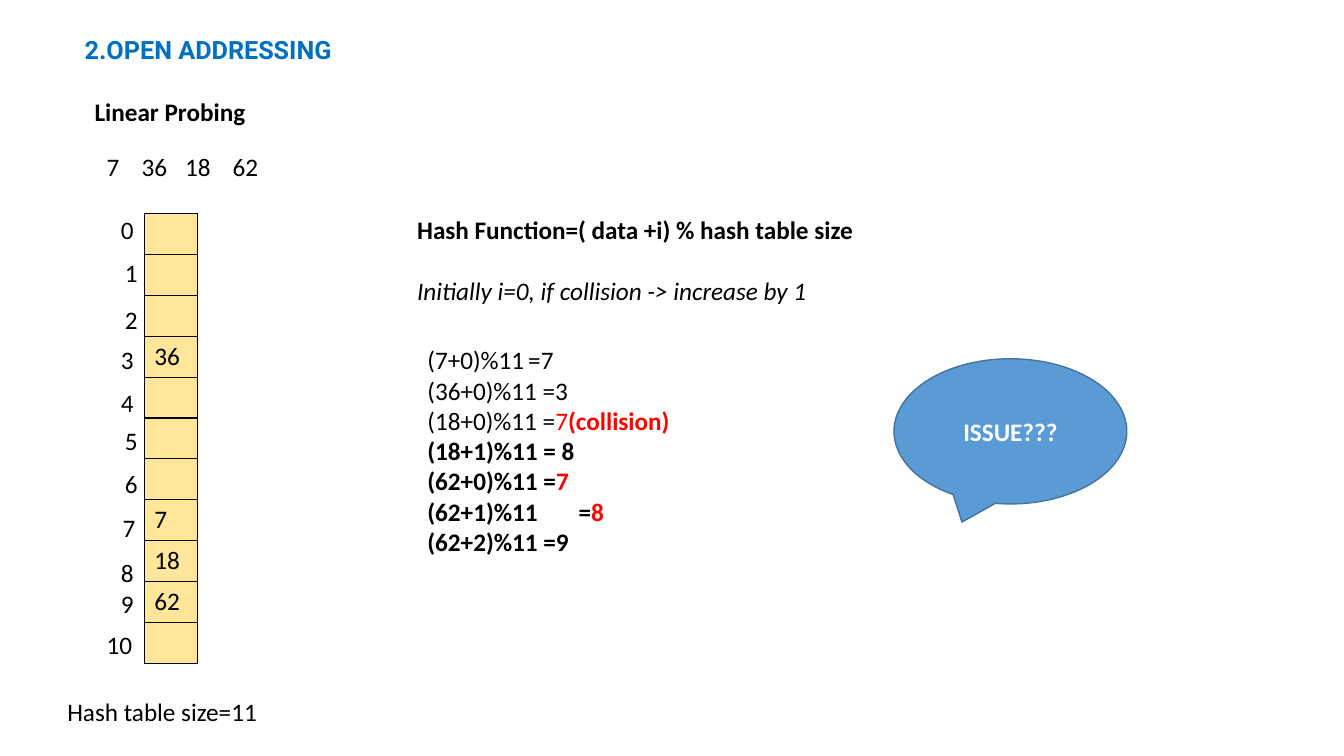
from pptx import Presentation
from pptx.dml.color import RGBColor
from pptx.enum.shapes import MSO_SHAPE
from pptx.enum.text import MSO_ANCHOR, MSO_AUTO_SIZE, PP_ALIGN
from pptx.oxml import parse_xml
from pptx.oxml.ns import nsdecls
from pptx.util import Pt

BLACK = RGBColor(0, 0, 0)
WHITE = RGBColor(255, 255, 255)
RED = RGBColor(255, 0, 0)
TITLE_BLUE = RGBColor(0x00, 0x70, 0xC0)
CALLOUT_BLUE = RGBColor(0x5B, 0x9B, 0xD5)
CALLOUT_EDGE = RGBColor(0x43, 0x73, 0x9E)
CELL_YELLOW = RGBColor(0xFF, 0xE6, 0x99)

PLAIN = {"name": "Calibri", "size": Pt(18), "bold": False, "italic": False}
BOLD = PLAIN | {"bold": True}
ITALIC = PLAIN | {"italic": True}
TITLE = BOLD | {"name": "Roboto"}


def write(frame, lines, align=PP_ALIGN.LEFT, anchor=MSO_ANCHOR.TOP):
    frame_format = {"word_wrap": True, "auto_size": MSO_AUTO_SIZE.NONE, "vertical_anchor": anchor}
    for key, value in frame_format.items():
        setattr(frame, key, value)
    for index, runs in enumerate(lines):
        paragraph = frame.paragraphs[0] if index == 0 else frame.add_paragraph()
        paragraph.alignment = align
        paragraph.space_before = Pt(0)
        for text, font_format, color in runs:
            run = paragraph.add_run()
            run.text = text
            for key, value in font_format.items():
                setattr(run.font, key, value)
            run.font.color.rgb = color


def set_tabs(paragraph, *positions):
    stops = "".join(f'<a:tab pos="{Pt(position)}" algn="l"/>' for position in positions)
    properties = paragraph._p.get_or_add_pPr()
    properties.append(parse_xml(f'<a:tabLst {nsdecls("a")}>{stops}</a:tabLst>'))


presentation = Presentation()
presentation.slide_width = Pt(960)
presentation.slide_height = Pt(540)
slide = presentation.slides.add_slide(presentation.slide_layouts[1])

title, calculations = slide.placeholders
placeholder_boxes = [(title, (53.3, 20.9, 327.6, 28.8)), (calculations, (298.1, 242.6, 219.6, 159.8))]
for placeholder, box in placeholder_boxes:
    for key, value in zip(("left", "top", "width", "height"), box):
        setattr(placeholder, key, Pt(value))

write(title.text_frame, [[("2.OPEN ADDRESSING", TITLE, TITLE_BLUE)]])
write(calculations.text_frame, [
    [("(7+0)%11\t=7", PLAIN, BLACK)],
    [("(36+0)%11 =3", PLAIN, BLACK)],
    [("(18+0)%11 =", PLAIN, BLACK), ("7", PLAIN, RED), ("(collision)", BOLD, RED)],
    [("(18+1)%11 = 8", BOLD, BLACK)],
    [("(62+0)%11 =", BOLD, BLACK), ("7", BOLD, RED)],
    [("(62+1)%11\t=", BOLD, BLACK), ("8", BOLD, RED)],
    [("(62+2)%11 =9", BOLD, BLACK)],
])
for paragraph in calculations.text_frame.paragraphs:
    properties = paragraph._p.get_or_add_pPr()
    properties.set("marL", "0")
    properties.set("indent", "0")
    properties.append(parse_xml(f'<a:buNone {nsdecls("a")}/>'))
set_tabs(calculations.text_frame.paragraphs[0], 81)
set_tabs(calculations.text_frame.paragraphs[5], 91)

text_boxes = [
    ((60.5, 65.5, 177.8, 28.8), [[("Linear Probing", BOLD, BLACK)]]),
    ((41, 494, 164.9, 28.8), [[("Hash table size=11", PLAIN, BLACK)]]),
    ((290.9, 149.8, 375.8, 72.7), [
        [("Hash Function=( data +i) % hash table size", BOLD, BLACK)],
        [("Initially i=0, if collision -> increase by 1", ITALIC, BLACK)],
    ]),
    ((69.1, 104.4, 208.8, 28.8), [[("7\t36\t18\t62", PLAIN, BLACK)]]),
]
index_positions = [
    (79.2, 149.8), (82.1, 180), (82.1, 213.8), (79.2, 242.6), (79.2, 272.9), (82.1, 300.2),
    (82.1, 331.2), (80.6, 362.2), (79.2, 394.6), (79.2, 416.6), (69.1, 445.7),
]
for index, (left, top) in enumerate(index_positions):
    width = 46.8 if index == 10 else 21.6
    text_boxes.append(((left, top, width, 28.8), [[(str(index), PLAIN, BLACK)]]))

frames = []
for box, lines in text_boxes:
    frame = slide.shapes.add_textbox(*map(Pt, box)).text_frame
    write(frame, lines)
    frames.append(frame)
hash_function, keys = frames[2:4]
hash_function.paragraphs[0].space_after = Pt(22)
set_tabs(keys.paragraphs[0], 25, 56, 90)

stored_keys = {3: "36", 7: "7", 8: "18", 9: "62"}
hash_table = slide.shapes.add_table(11, 1, Pt(103), Pt(152.6), Pt(38.2), Pt(321.2)).table
hash_table.columns[0].width = Pt(38.2)
for index, row in enumerate(hash_table.rows):
    row.height = Pt(29.2)
    cell = row.cells[0]
    for side in ("lnL", "lnR", "lnT", "lnB"):
        cell._tc.get_or_add_tcPr().append(parse_xml(
            f'<a:{side} {nsdecls("a")} w="{Pt(1)}"><a:solidFill>'
            f'<a:srgbClr val="{BLACK}"/></a:solidFill></a:{side}>'))
    cell.fill.solid()
    cell.fill.fore_color.rgb = CELL_YELLOW
    if index in stored_keys:
        write(cell.text_frame, [[(stored_keys[index], PLAIN, BLACK)]])

callout = slide.shapes.add_shape(
    MSO_SHAPE.OVAL_CALLOUT, Pt(638.6), Pt(256.3), Pt(166.3), Pt(103.7))
callout.shadow.inherit = False
callout.fill.solid()
callout.fill.fore_color.rgb = CALLOUT_BLUE
callout.line.color.rgb = CALLOUT_EDGE
callout.line.width = Pt(1)
write(callout.text_frame, [[("ISSUE???", BOLD, WHITE)]], PP_ALIGN.CENTER, MSO_ANCHOR.MIDDLE)

presentation.save("out.pptx")
